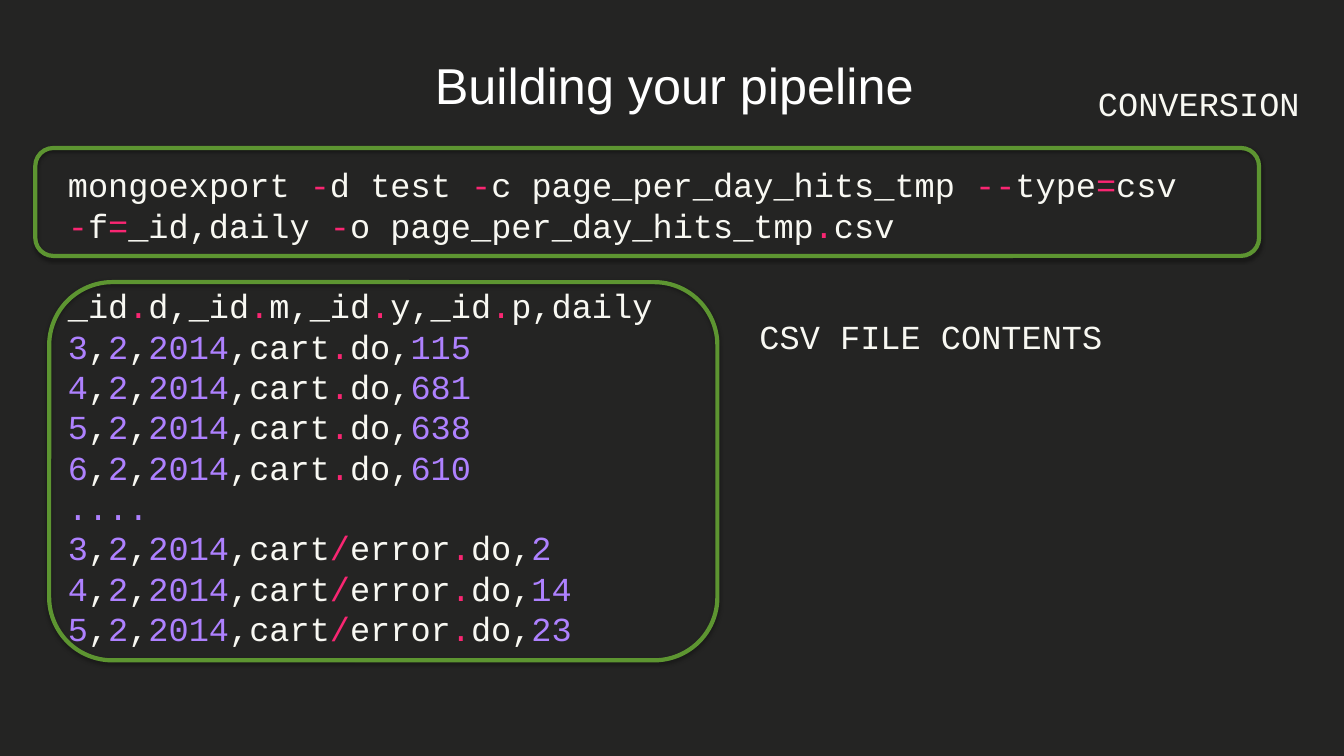
"""Build a slide showing a CSV export command and the file it produces."""
from dataclasses import dataclass
from itertools import groupby

from lxml import etree
from pptx import Presentation
from pptx.dml.color import RGBColor
from pptx.enum.shapes import MSO_SHAPE
from pptx.enum.text import MSO_ANCHOR, MSO_AUTO_SIZE, PP_ALIGN
from pptx.oxml import parse_xml
from pptx.oxml.ns import nsdecls, qn
from pptx.util import Cm, Pt

ROUNDED = MSO_SHAPE.ROUNDED_RECTANGLE
TOP = MSO_ANCHOR.TOP
FIXED, GROW = MSO_AUTO_SIZE.NONE, MSO_AUTO_SIZE.SHAPE_TO_FIT_TEXT
LEFT, CENTER = PP_ALIGN.LEFT, PP_ALIGN.CENTER


@dataclass(frozen=True)
class Theme:
    background: str = "242423"
    title: str = "FFFFFF"
    plain: str = "F8F8F2"
    operator: str = "F92672"
    number: str = "AE81FF"
    frame: str = "5D9531"
    title_font: str = "Arial"
    code_font: str = "Courier New"
    title_size: float = 36
    code_size: float = 24
    code_spacing: float = 1.0
    blank_line: float = 28.8


THEME = Theme()
COMMAND = ("mongoexport -d test -c page_per_day_hits_tmp --type=csv "
           "-f=_id,daily -o page_per_day_hits_tmp.csv")
CSV_LINES = (
    ["_id.d,_id.m,_id.y,_id.p,daily"]
    + [f"{day},2,2014,cart.do,{hits}"
       for day, hits in ((3, 115), (4, 681), (5, 638), (6, 610))]
    + ["...."]
    + [f"{day},2,2014,cart/error.do,{hits}"
       for day, hits in ((3, 2), (4, 14), (5, 23))]
)


def token_color(character):
    """Return the highlight colour of one code character."""
    if character.isdigit():
        return THEME.number
    return THEME.operator if character in "-=./" else THEME.plain


def highlight(line):
    """Split a code line into runs of text and colour."""
    if not line.strip("."):
        return [(line, THEME.number)]
    return [("".join(characters), color)
            for color, characters in groupby(line, token_color)]


def write_paragraph(paragraph, text, font=THEME.code_font, size=THEME.code_size,
                    color=THEME.plain, align=LEFT, spacing=THEME.code_spacing,
                    before=0, code=False):
    """Fill a paragraph with formatted text, highlighted when it is code."""
    properties = paragraph._p.get_or_add_pPr()
    properties.set("marL", "0")
    properties.set("indent", "0")
    etree.SubElement(properties, qn("a:buNone"))
    paragraph.alignment = align
    paragraph.line_spacing = spacing
    paragraph.space_before, paragraph.space_after = Pt(before), Pt(0)
    for content, run_color in highlight(text) if code else [(text, color)]:
        run = paragraph.add_run()
        run.text = content
        run.font.name, run.font.size = font, Pt(size)
        run.font.color.rgb = RGBColor.from_string(run_color)


def prepare_frame(shape, wrap=True, auto_size=FIXED):
    """Set the margins and fitting of a shape and return its text frame."""
    frame = shape.text_frame
    frame.margin_left = frame.margin_right = Cm(0.13)
    frame.margin_top = frame.margin_bottom = Cm(0.13)
    frame.word_wrap, frame.auto_size = wrap, auto_size
    frame.vertical_anchor = TOP
    return frame


def place(shape, left, top, width, height):
    """Move and resize a shape, in centimetres."""
    shape.left, shape.top = Cm(left), Cm(top)
    shape.width, shape.height = Cm(width), Cm(height)


def add_title(slide, text):
    """Write the slide title."""
    title = slide.shapes.title
    place(title, 1.83, 0.93, 30.33, 1.7)
    write_paragraph(prepare_frame(title).paragraphs[0], text,
                    font=THEME.title_font, size=THEME.title_size,
                    color=THEME.title, align=CENTER, spacing=1.2)


def add_code(slide, command, lines):
    """Write the command and, one blank line below, the file contents."""
    body = slide.placeholders[1]
    place(body, 1.58, 4.01, 30.58, 13.11)
    frame = prepare_frame(body)
    write_paragraph(frame.paragraphs[0], command, code=True)
    for index, line in enumerate(lines):
        write_paragraph(frame.add_paragraph(), line, code=True,
                        before=0 if index else THEME.blank_line)


def add_callout(slide, label, frame_box, label_box):
    """Add a shadowed rounded frame grouped with its label."""
    shapes = slide.shapes.add_group_shape().shapes
    outline = shapes.add_shape(ROUNDED, *map(Cm, frame_box))
    outline.adjustments[0] = 0.167
    outline.fill.background()
    outline.line.color.rgb = RGBColor.from_string(THEME.frame)
    outline.line.width = Pt(3)
    outline._element.spPr.append(parse_xml(
        f'<a:effectLst {nsdecls("a")}><a:outerShdw blurRad="{Pt(3)}" '
        f'dist="{Pt(1.6)}" dir="5400000" rotWithShape="0">'
        '<a:srgbClr val="000000"><a:alpha val="38000"/></a:srgbClr>'
        '</a:outerShdw></a:effectLst>'))
    text_box = shapes.add_textbox(*map(Cm, label_box))
    frame = prepare_frame(text_box, wrap=False, auto_size=GROW)
    write_paragraph(frame.paragraphs[0], label)


def main():
    """Build and save the presentation."""
    presentation = Presentation()
    presentation.slide_width, presentation.slide_height = Cm(33.87), Cm(19.05)
    slide = presentation.slides.add_slide(presentation.slide_layouts[1])
    fill = slide.background.fill
    fill.solid()
    fill.fore_color.rgb = RGBColor.from_string(THEME.background)
    add_title(slide, "Building your pipeline")
    add_code(slide, COMMAND, CSV_LINES)
    add_callout(slide, "CONVERSION", (0.89, 3.73, 30.84, 2.72),
                (27.54, 1.95, 5.38, 1.24))
    add_callout(slide, "CSV FILE CONTENTS", (1.24, 7.11, 16.84, 9.53),
                (19.01, 7.82, 8.97, 1.24))
    presentation.save("out.pptx")


if __name__ == "__main__":
    main()
